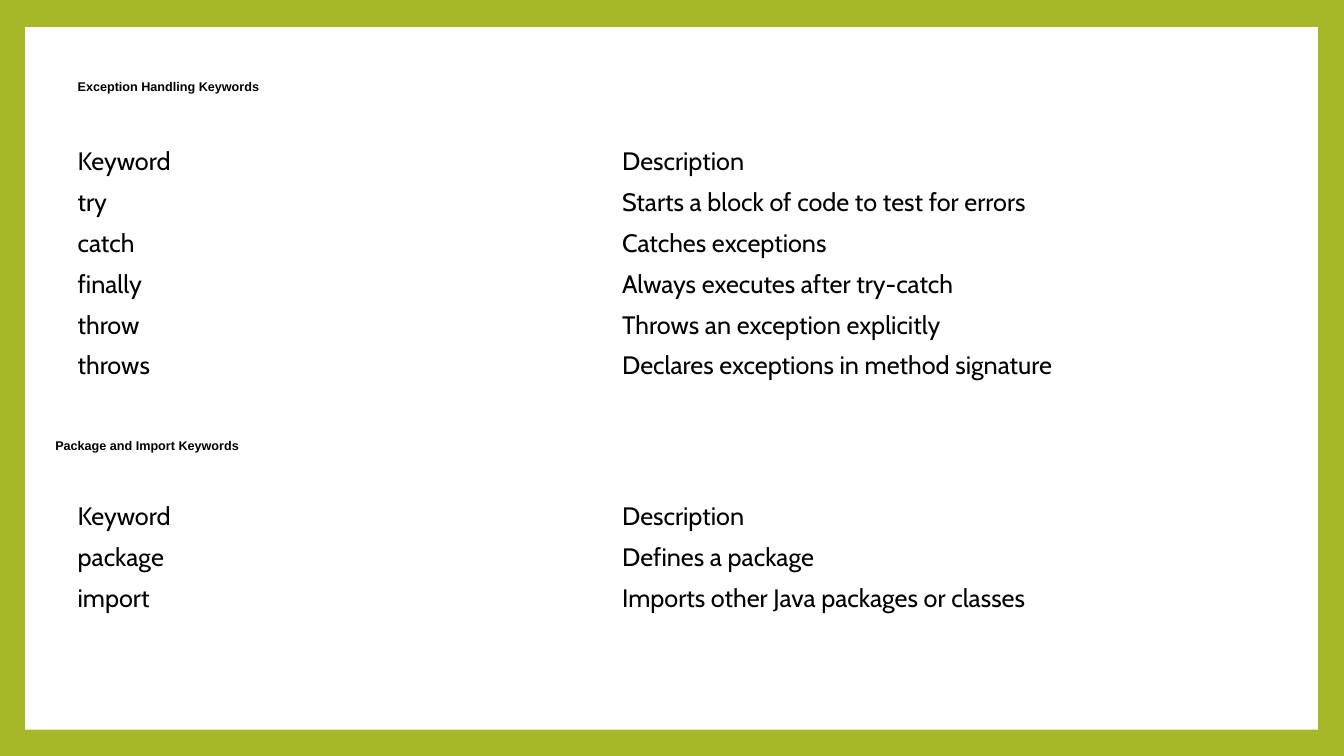
from pptx import Presentation
from pptx.dml.color import RGBColor
from pptx.enum.shapes import MSO_SHAPE
from pptx.enum.text import MSO_ANCHOR, MSO_AUTO_SIZE, PP_ALIGN
from pptx.util import Inches, Pt

RECT = MSO_SHAPE.RECTANGLE
TOP, MIDDLE = MSO_ANCHOR.TOP, MSO_ANCHOR.MIDDLE
NO_FIT, LEFT = MSO_AUTO_SIZE.NONE, PP_ALIGN.LEFT

# Content
GREEN, WHITE, BLACK = "A6B727", "FFFFFF", "000000"
HEADER = ("Keyword", "Description")
SECTIONS = [
    {"heading": "Exception Handling Keywords", "heading_at": (0.67, 0.73),
     "table_top": 1.4,
     "rows": [("try", "Starts a block of code to test for errors"),
              ("catch", "Catches exceptions"),
              ("finally", "Always executes after try-catch"),
              ("throw", "Throws an exception explicitly"),
              ("throws", "Declares exceptions in method signature")]},
    {"heading": "Package and Import Keywords", "heading_at": (0.45, 4.3),
     "table_top": 4.92,
     "rows": [("package", "Defines a package"),
              ("import", "Imports other Java packages or classes")]},
]
TABLE_LEFT, COL_W, ROW_H = 0.67, 5.4, 0.4
TABLE_W = COL_W * len(HEADER)


def rgb(color):
    return RGBColor.from_string(color)


def write(tf, text, font, size, bold=False):
    tf.text = text
    p = tf.paragraphs[0]
    p.alignment = LEFT
    f = p.runs[0].font
    f.name, f.size, f.bold = font, Pt(size), bold
    f.color.rgb = rgb(BLACK)


def format_heading(sp, text, left, top):
    sp.left, sp.top = Inches(left), Inches(top)
    sp.width, sp.height = Inches(TABLE_W), Inches(0.5)
    tf = sp.text_frame
    tf.word_wrap, tf.auto_size, tf.vertical_anchor = True, NO_FIT, TOP
    write(tf, text, "Arial", 9, bold=True)


def add_keyword_table(s, rows, top):
    frame = s.shapes.add_table(len(rows), len(HEADER), Inches(TABLE_LEFT),
                               Inches(top), Inches(TABLE_W),
                               Inches(ROW_H * len(rows)))
    table = frame.table
    table.first_row = table.horz_banding = False
    for i, row in enumerate(rows):
        for j, text in enumerate(row):
            cell = table.cell(i, j)
            cell.fill.solid()
            cell.fill.fore_color.rgb = rgb(WHITE)
            cell.vertical_anchor = MIDDLE
            write(cell.text_frame, text, "Cabin", 18)


prs = Presentation()
prs.slide_width, prs.slide_height = Inches(13.33), Inches(7.5)
s = prs.slides.add_slide(prs.slide_layouts[5])
title = s.shapes.title

# Green border around a white panel
s.background.fill.solid()
s.background.fill.fore_color.rgb = rgb(GREEN)
panel = s.shapes.add_shape(RECT, Inches(0.25), Inches(0.27),
                           Inches(12.82), Inches(6.97))
panel.shadow.inherit = False
panel.fill.solid()
panel.fill.fore_color.rgb = rgb(WHITE)
panel.line.fill.background()
title.element.addprevious(panel.element)

# Headings and keyword tables; the first heading is the slide title
for n, section in enumerate(SECTIONS):
    sp = title if n == 0 else s.shapes.add_textbox(0, 0, 0, 0)
    format_heading(sp, section["heading"], *section["heading_at"])
    add_keyword_table(s, [HEADER] + section["rows"], section["table_top"])

prs.save("out.pptx")
